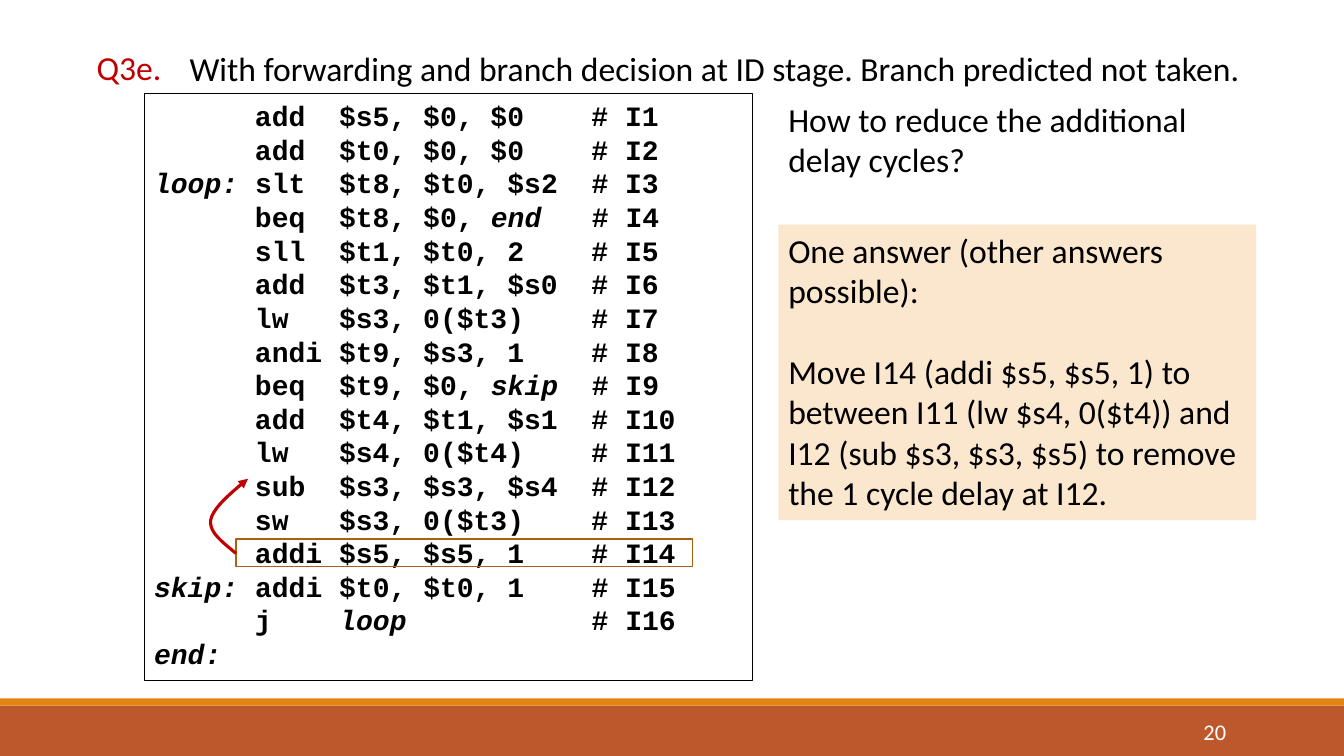
from dataclasses import dataclass

from lxml.etree import SubElement
from pptx import Presentation
from pptx.dml.color import RGBColor
from pptx.enum.shapes import MSO_SHAPE
from pptx.enum.text import MSO_ANCHOR, MSO_AUTO_SIZE, PP_ALIGN
from pptx.oxml.ns import qn
from pptx.util import Inches, Pt


@dataclass(frozen=True)
class Theme:
    text_font: str = "Calibri"
    code_font: str = "Courier New"
    text_size: int = 24
    code_size: int = 20
    number_size: int = 16
    black: str = "000000"
    white: str = "FFFFFF"
    red: str = "C00000"
    footer: str = "BD582C"
    footer_edge: str = "E48312"
    answer_fill: str = "FBE6CE"
    highlight: str = "A9610D"


THEME = Theme()

# Asterisks enclose the italic labels
LISTING = """\
      add  $s5, $0, $0    # I1
      add  $t0, $0, $0    # I2
*loop:* slt  $t8, $t0, $s2  # I3
      beq  $t8, $0, *end*   # I4
      sll  $t1, $t0, 2    # I5
      add  $t3, $t1, $s0  # I6
      lw   $s3, 0($t3)    # I7
      andi $t9, $s3, 1    # I8
      beq  $t9, $0, *skip*  # I9
      add  $t4, $t1, $s1  # I10
      lw   $s4, 0($t4)    # I11
      sub  $s3, $s3, $s4  # I12
      sw   $s3, 0($t3)    # I13
      addi $s5, $s5, 1    # I14
*skip:* addi $t0, $t0, 1    # I15
      j    *loop*           # I16
*end:*"""

ANSWER = [
    "One answer (other answers possible):",
    "Move I14 (addi $s5, $s5, 1) to between I11 (lw $s4, 0($t4)) and "
    "I12 (sub $s3, $s3, $s5) to remove the 1 cycle delay at I12.",
]

# Cubic curves from I14 up to the gap before I12: start, two controls, end
MOVE_CURVES = [
    [(2.34, 5.49), (2.21, 5.38), (2.07, 5.28), (2.09, 5.16)],
    [(2.09, 5.16), (2.11, 5.04), (2.29, 4.89), (2.46, 4.75)],
]


def write_text(holder, lines, *, font=THEME.text_font, size=THEME.text_size,
               color=THEME.black, bold=False, align=PP_ALIGN.LEFT,
               anchor=MSO_ANCHOR.TOP, gap=0):
    """Fill a shape with paragraphs; text between asterisks is italic."""
    frame = holder.text_frame
    frame.word_wrap = True
    frame.auto_size = MSO_AUTO_SIZE.NONE
    frame.vertical_anchor = anchor
    for index, line in enumerate(lines):
        paragraph = frame.add_paragraph() if index else frame.paragraphs[0]
        paragraph.alignment = align
        paragraph.space_before = Pt(gap if index else 0)
        for part, words in enumerate(line.split("*")):
            if not words:
                continue
            run = paragraph.add_run()
            run.text = words
            run.font.name = font
            run.font.size = Pt(size)
            run.font.bold = bold
            run.font.italic = part % 2 == 1
            run.font.color.rgb = RGBColor.from_string(color)


def add_label(slide, box, lines, **text_format):
    label = slide.shapes.add_textbox(*map(Inches, box))
    write_text(label, lines, **text_format)


def paint(outline, fill=None, line=None, width=1):
    outline.shadow.inherit = False
    if fill:
        outline.fill.solid()
        outline.fill.fore_color.rgb = RGBColor.from_string(fill)
    else:
        outline.fill.background()
    if line:
        outline.line.color.rgb = RGBColor.from_string(line)
        outline.line.width = Pt(width)
    else:
        outline.line.fill.background()


def add_panel(slide, box, **colours):
    panel = slide.shapes.add_shape(MSO_SHAPE.RECTANGLE, *map(Inches, box))
    paint(panel, **colours)
    return panel


def curve_points(curve, steps=10):
    for step in range(1, steps + 1):
        t = step / steps
        weights = ((1 - t) ** 3, 3 * t * (1 - t) ** 2, 3 * t * t * (1 - t), t ** 3)
        yield tuple(Inches(sum(w * point[axis] for w, point in zip(weights, curve)))
                    for axis in (0, 1))


def add_curved_arrow(slide, curves, color, width):
    start_x, start_y = map(Inches, curves[0][0])
    builder = slide.shapes.build_freeform(start_x, start_y)
    points = [point for curve in curves for point in curve_points(curve)]
    builder.add_line_segments(points, close=False)
    arrow = builder.convert_to_shape()
    paint(arrow, line=color, width=width)
    SubElement(arrow.line._get_or_add_ln(), qn("a:tailEnd"), type="triangle")


def main():
    deck = Presentation()
    deck.slide_width, deck.slide_height = Inches(13.33), Inches(7.5)
    slide = deck.slides.add_slide(deck.slide_layouts[5])

    # Footer band and page number
    add_panel(slide, (0, 7, 13.33, 0.5), fill=THEME.footer)
    add_panel(slide, (0, 6.93, 13.33, 0.07), fill=THEME.footer_edge)
    add_label(slide, (10.83, 7.06, 1.43, 0.4), ["20"], size=THEME.number_size,
              color=THEME.white, align=PP_ALIGN.RIGHT, anchor=MSO_ANCHOR.MIDDLE)

    # Question heading
    add_label(slide, (0.78, 0.42, 1, 0.5), ["Q3e."], color=THEME.red,
              align=PP_ALIGN.CENTER)
    heading = slide.shapes.title
    heading.left, heading.top, heading.width, heading.height = map(
        Inches, (1.78, 0.43, 10.87, 0.5))
    write_text(heading, ["With forwarding and branch decision at ID stage. "
                         "Branch predicted not taken."])

    # Assembly listing
    listing = add_panel(slide, (1.43, 0.93, 6.03, 5.82), line=THEME.black, width=0.75)
    write_text(listing, LISTING.split("\n"), font=THEME.code_font,
               size=THEME.code_size, bold=True)

    # Follow-up question and answer
    add_label(slide, (7.72, 0.93, 4.4, 0.91),
              ["How to reduce the additional delay cycles?"])
    answer = add_panel(slide, (7.72, 2.23, 4.74, 2.93), fill=THEME.answer_fill)
    write_text(answer, ANSWER, gap=29)

    # Instruction to move and its destination
    add_panel(slide, (2.34, 5.35, 4.53, 0.27), line=THEME.highlight, width=1.25)
    add_curved_arrow(slide, MOVE_CURVES, THEME.red, 2.25)

    deck.save("out.pptx")


if __name__ == "__main__":
    main()
